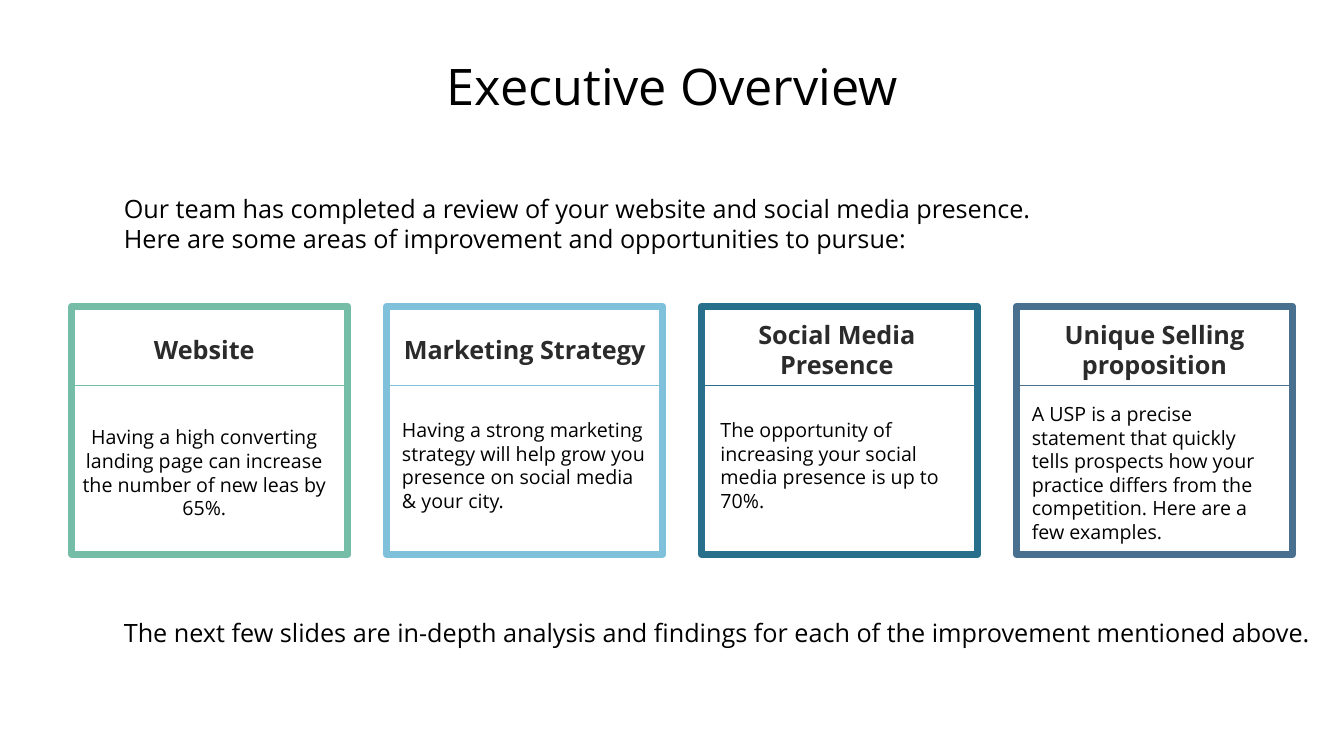
from dataclasses import dataclass

from lxml import etree
from pptx import Presentation
from pptx.dml.color import RGBColor
from pptx.enum.shapes import MSO_CONNECTOR, MSO_SHAPE
from pptx.enum.text import MSO_ANCHOR, PP_ALIGN
from pptx.oxml.ns import qn
from pptx.util import Inches, Pt

LEFT, CENTER = PP_ALIGN.LEFT, PP_ALIGN.CENTER
TOP, MIDDLE = MSO_ANCHOR.TOP, MSO_ANCHOR.MIDDLE
RECT = MSO_SHAPE.RECTANGLE
STRAIGHT = MSO_CONNECTOR.STRAIGHT


@dataclass(frozen=True)
class Theme:
    font: str = "Open Sans"
    paper: str = "FFFFFF"
    text: str = "000000"
    heading: str = "2B2B2B"
    title_size: int = 36
    lead_size: int = 18
    body_size: int = 14
    frame_width: float = 5
    rule_width: float = 0.5


@dataclass(frozen=True)
class Box:
    x: float
    y: float
    w: float
    h: float

    def inner(self, x, y, w, h):
        return Box(self.x + self.w * x / 100, self.y + self.h * y / 100,
                   self.w * w / 100, self.h * h / 100)

    def columns(self, count, width):
        step = (100 - width) / (count - 1)
        return [self.inner(i * step, 0, width, 100) for i in range(count)]

    def emu(self):
        return [Inches(v) for v in (self.x, self.y, self.w, self.h)]


@dataclass(frozen=True)
class Card:
    color: str
    heading: str
    body: str
    heading_x: float
    body_x: float
    body_y: float
    align: PP_ALIGN = LEFT


THEME = Theme()
SLIDE = Box(0, 0, 13.33, 7.5)
INTRO = ["Our team has completed a review of your website and social media presence.",
         "Here are some areas of improvement and opportunities to pursue:"]
CLOSING = ["The next few slides are in-depth analysis and findings for each of the "
           "improvement mentioned above."]
CARDS = [
    Card("75BDA7", "Website",
         "Having a high converting landing page can increase the number of new leas by 65%.",
         0, 0, 46, CENTER),
    Card("7FC1DB", "Marketing Strategy",
         "Having a strong marketing strategy will help grow you presence on social media "
         "& your city.",
         2, 2, 43),
    Card("276F8B", "Social Media Presence",
         "The opportunity of increasing your social media presence is up to 70%.",
         1, 3.3, 43),
    Card("4A7090", "Unique Selling proposition",
         "A USP is a precise statement that quickly tells prospects how your practice "
         "differs from the competition. Here are a few examples.",
         2, 2, 36.6),
]


def rgb(color):
    return RGBColor.from_string(color)


def add_text(s, box, lines, size, color=THEME.text, bold=False,
             align=LEFT, anchor=TOP, spacing=1.0):
    tf = s.shapes.add_textbox(*box.emu()).text_frame
    tf.word_wrap = True
    tf.vertical_anchor = anchor
    for i, line in enumerate(lines):
        p = tf.add_paragraph() if i else tf.paragraphs[0]
        p.alignment = align
        p.line_spacing = spacing
        r = p.add_run()
        r.text = line
        r.font.name = THEME.font
        r.font.size = Pt(size)
        r.font.bold = bold
        r.font.color.rgb = rgb(color)


def add_frame(s, box, color):
    sp = s.shapes.add_shape(RECT, *box.emu())
    sp.shadow.inherit = False
    sp.fill.solid()
    sp.fill.fore_color.rgb = rgb(THEME.paper)
    sp.line.color.rgb = rgb(color)
    sp.line.width = Pt(THEME.frame_width)


def add_rule(s, box, color):
    x, y, w, h = box.emu()
    rule = s.shapes.add_connector(STRAIGHT, x, y, x + w, y + h)
    rule.line.color.rgb = rgb(color)
    rule.line.width = Pt(THEME.rule_width)
    etree.SubElement(rule._element.spPr, qn("a:effectLst"))


def add_card(s, box, card):
    add_frame(s, box, card.color)
    add_rule(s, box.inner(0, 32, 100, 0), card.color)
    add_text(s, box.inner(card.body_x, card.body_y, 96, 42), [card.body],
             THEME.body_size, align=card.align)
    add_text(s, box.inner(card.heading_x, 3, 96, 29), [card.heading],
             THEME.lead_size, THEME.heading, True, CENTER, MIDDLE)


def add_cards(s, box):
    for column, card in zip(box.columns(len(CARDS), 22.63), CARDS):
        add_card(s, column, card)


def build_overview(s, box):
    add_text(s, box.inner(6.9, 5.33, 86.27, 12.93), ["Executive Overview"],
             THEME.title_size, align=CENTER, anchor=MIDDLE, spacing=0.9)
    add_text(s, box.inner(8.48, 24.93, 90.17, 9.5), INTRO, THEME.lead_size)
    add_cards(s, box.inner(5.33, 40.53, 90.85, 32.8))
    add_text(s, box.inner(8.48, 81, 90.17, 5.4), CLOSING, THEME.lead_size)


def main():
    prs = Presentation()
    prs.slide_width, prs.slide_height = Inches(SLIDE.w), Inches(SLIDE.h)
    s = prs.slides.add_slide(prs.slide_layouts[6])
    build_overview(s, SLIDE)
    prs.save("out.pptx")


if __name__ == "__main__":
    main()
